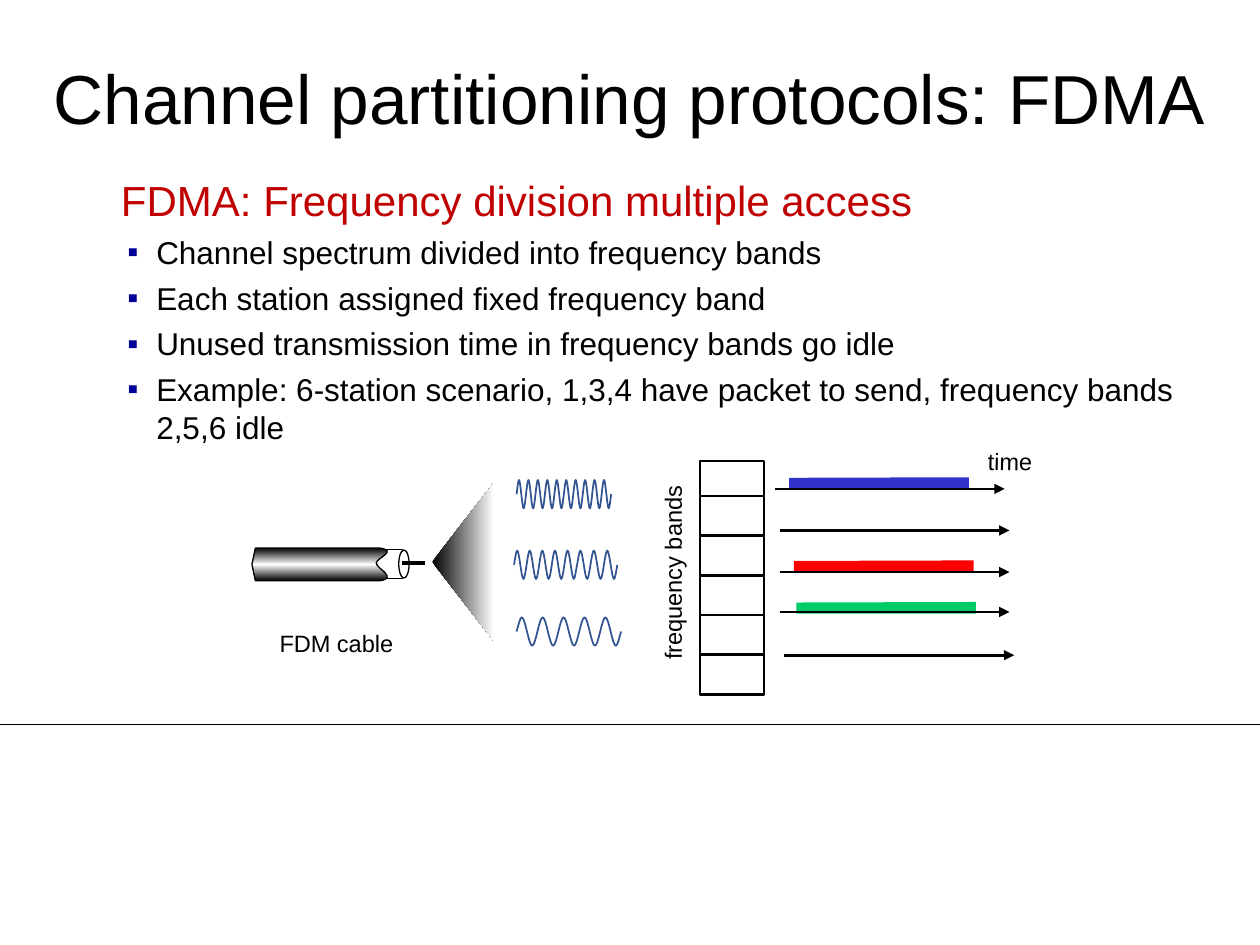
from copy import deepcopy
from dataclasses import dataclass

from lxml.etree import Element, SubElement
from pptx import Presentation
from pptx.dml.color import RGBColor
from pptx.enum.shapes import MSO_CONNECTOR, MSO_SHAPE
from pptx.enum.text import MSO_ANCHOR, MSO_AUTO_SIZE, PP_ALIGN
from pptx.oxml.ns import qn
from pptx.util import Inches, Pt

CELL = Inches(0.1)
COLUMNS, ROWS = 100, 75


@dataclass(frozen=True)
class Theme:
    font: str = "Arial"
    title_size: float = 39.6
    heading_size: float = 24
    body_size: float = 18
    label_size: float = 13.5
    black: str = "000000"
    white: str = "FFFFFF"
    heading: str = "C00000"
    bullet: str = "000099"
    wave: str = "325491"
    blue: str = "3333CC"
    red: str = "FF0000"
    green: str = "00CC66"


THEME = Theme()


@dataclass(frozen=True)
class Box:
    left: float
    top: float
    width: float
    height: float

    def point(self, across, down):
        return (round((self.left + across * self.width) * CELL),
                round((self.top + down * self.height) * CELL))

    def inner(self, left, top, width, height):
        return Box(self.left + left * self.width, self.top + top * self.height,
                   width * self.width, height * self.height)

    def frame(self):
        return (*self.point(0, 0), round(self.width * CELL), round(self.height * CELL))


def write(paragraph, text, size=THEME.body_size, color=THEME.black, align=None,
          line_spacing=None, space_before=None):
    if align is not None:
        paragraph.alignment = align
    if line_spacing is not None:
        paragraph.line_spacing = line_spacing
    if space_before is not None:
        paragraph.space_before = Pt(space_before)
    run = paragraph.add_run()
    run.text = text
    run.font.name = THEME.font
    run.font.size = Pt(size)
    run.font.color.rgb = RGBColor.from_string(color)


def set_bullet(paragraph, indent, character=None):
    properties = paragraph._p.get_or_add_pPr()
    properties.set("marL", str(Inches(0.28)))
    properties.set("indent", str(-Inches(indent)))
    if character is None:
        SubElement(properties, qn("a:buNone"))
        return
    bullet_color = SubElement(properties, qn("a:buClr"))
    SubElement(bullet_color, qn("a:srgbClr"), val=THEME.bullet)
    SubElement(properties, qn("a:buChar"), char=character)


def paint(shape, fill=None, line=None, weight=0.75):
    shape.shadow.inherit = False
    if fill is None:
        shape.fill.background()
    else:
        shape.fill.solid()
        shape.fill.fore_color.rgb = RGBColor.from_string(fill)
    if line is None:
        shape.line.fill.background()
    else:
        shape.line.color.rgb = RGBColor.from_string(line)
        shape.line.width = Pt(weight)
    return shape


def shade(shape, angle, mirrored=False):
    shape.fill.gradient()
    shape.fill.gradient_angle = angle
    dark, light = shape.fill.gradient_stops
    dark.color.rgb = RGBColor.from_string(THEME.black)
    light.color.rgb = RGBColor.from_string(THEME.white)
    dark.position, light.position = 0, 1
    if mirrored:
        light.position = 0.5
        stops = shape._element.spPr.find(qn("a:gradFill")).find(qn("a:gsLst"))
        last = deepcopy(stops[0])
        last.set("pos", "100000")
        stops.append(last)


def add_outline(slide, box, shares, close=False, curved=slice(0, 0)):
    points = [box.point(*share) for share in shares]
    builder = slide.shapes.build_freeform(*points[0])
    builder.add_line_segments(points[1:], close=close)
    shape = builder.convert_to_shape()
    lines = list(shape._element.iter(qn("a:lnTo")))[curved]
    for first in range(0, len(lines), 3):
        bend = Element(qn("a:cubicBezTo"))
        lines[first].addprevious(bend)
        for line in lines[first:first + 3]:
            bend.append(line[0])
            line.getparent().remove(line)
    return shape


def add_line(slide, box, start, end, weight=1.5, arrow=False):
    connector = slide.shapes.add_connector(
        MSO_CONNECTOR.STRAIGHT, *box.point(*start), *box.point(*end))
    connector.line.color.rgb = RGBColor.from_string(THEME.black)
    connector.line.width = Pt(weight)
    if arrow:
        SubElement(connector.line._get_or_add_ln(), qn("a:tailEnd"), type="triangle")
    SubElement(connector._element.spPr, qn("a:effectLst"))


def add_label(slide, box, text, rotation=0):
    label = slide.shapes.add_textbox(*box.frame())
    label.rotation = rotation
    label.text_frame.word_wrap = False
    label.text_frame.auto_size = MSO_AUTO_SIZE.SHAPE_TO_FIT_TEXT
    write(label.text_frame.paragraphs[0], text, size=THEME.label_size)


def place(placeholder, box, anchor):
    placeholder.left, placeholder.top, placeholder.width, placeholder.height = box.frame()
    frame = placeholder.text_frame
    frame.word_wrap = True
    frame.auto_size = MSO_AUTO_SIZE.NONE
    frame.vertical_anchor = anchor
    return frame


def add_title(slide, box, text):
    frame = place(slide.shapes.title, box, MSO_ANCHOR.MIDDLE)
    write(frame.paragraphs[0], text, size=THEME.title_size,
          align=PP_ALIGN.CENTER, line_spacing=0.9)


def add_body(slide, box, heading, items):
    frame = place(slide.placeholders[1], box, MSO_ANCHOR.TOP)
    frame.margin_left = frame.margin_right = Inches(0.07)
    frame.margin_top = frame.margin_bottom = Inches(0.04)
    first = frame.paragraphs[0]
    set_bullet(first, 0.28)
    write(first, heading, size=THEME.heading_size, color=THEME.heading,
          line_spacing=0.85, space_before=0)
    for item in items:
        paragraph = frame.add_paragraph()
        set_bullet(paragraph, 0.23, "▪")
        write(paragraph, item, space_before=4.5)


def add_cable(slide, box):
    sheath = slide.shapes.add_shape(MSO_SHAPE.RECTANGLE, *box.inner(0.71, 0.04, 0.16, 0.88).frame())
    paint(sheath, THEME.white, THEME.black)
    jacket = add_outline(slide, box, [
        (0.02, 0), (0, 0.5), (0.02, 1), (0.74, 1),
        (0.85, 0.92), (0.72, 0.62), (0.72, 0.46),
        (0.72, 0.31), (0.85, 0.08), (0.74, 0)], close=True, curved=slice(3, 9))
    paint(jacket, THEME.white, THEME.black)
    shade(jacket, 90, mirrored=True)
    end = slide.shapes.add_shape(MSO_SHAPE.OVAL, *box.inner(0.85, 0.06, 0.06, 0.85).frame())
    paint(end, THEME.white, THEME.black)
    add_line(slide, box, (0.87, 0.46), (1, 0.46), weight=2.25)


def add_fan(slide, box):
    fan = paint(add_outline(slide, box, [(1, 0), (0, 0.5), (1, 1)], close=True), THEME.white)
    shade(fan, 0)


def add_wave(slide, box, cycles):
    turns = [((i + 0.5) / (2 * cycles), i % 2) for i in range(2 * cycles)]
    anchors = [(0, 0.5), *turns, (1, 0.5)]
    shares = anchors[:1]
    for (x, y), (next_x, next_y) in zip(anchors, anchors[1:]):
        third = (next_x - x) / 3
        leave = 0.3 if x == 0 else y
        arrive = 0.7 if next_x == 1 else next_y
        shares += [(x + third, leave), (next_x - third, arrive), (next_x, next_y)]
    paint(add_outline(slide, box, shares, curved=slice(None)), line=THEME.wave, weight=1)


def add_bands(slide, box):
    paint(slide.shapes.add_shape(MSO_SHAPE.RECTANGLE, *box.frame()),
          THEME.white, THEME.black, 1.5)
    for divider in range(5):
        height = 0.15 + 0.17 * divider
        add_line(slide, box, (0, height), (1, height))


def add_timelines(slide, box):
    timelines = [(0, 0, THEME.blue), (0.02, 0, None), (0.02, 0, THEME.red),
                 (0.02, -0.01, THEME.green), (0.04, 0, None)]
    for row, (start, shift, color) in enumerate(timelines):
        base = row / (len(timelines) - 1)
        if color:
            bar = box.inner(start + 0.06 - shift, base - 0.07, 0.75, 0.07)
            paint(add_outline(slide, bar, [(0, 1), (0, 0.05), (1, 0), (1, 1)]), color)
        add_line(slide, box, (start, base + shift), (start + 0.96, base + shift), arrow=True)


def main():
    presentation = Presentation()
    presentation.slide_width, presentation.slide_height = COLUMNS * CELL, ROWS * CELL
    slide = presentation.slides.add_slide(presentation.slide_layouts[1])
    add_line(slide, Box(0, 0, COLUMNS, 57.5), (0, 1), (1, 1), weight=0.5)
    add_title(slide, Box(0.9, 4.45, 98.1, 7.3), "Channel partitioning protocols: FDMA")
    add_body(slide, Box(8.9, 14.05, 85.8, 19.7), "FDMA: Frequency division multiple access", [
        "Channel spectrum divided into frequency bands",
        "Each station assigned fixed frequency band",
        "Unused transmission time in frequency bands go idle",
        "Example: 6-station scenario, 1,3,4 have packet to send, frequency bands 2,5,6 idle"])
    add_bands(slide, Box(55.55, 36.6, 5.1, 18.5))
    add_timelines(slide, Box(61.5, 38.8, 19, 13.2))
    add_label(slide, Box(45.4, 43.7, 16, 3.3), "frequency bands", rotation=270)
    add_label(slide, Box(77.4, 35, 5.8, 3.3), "time", rotation=1.1)
    add_fan(slide, Box(34.3, 38.3, 4.9, 12.6))
    add_cable(slide, Box(20, 43.5, 13.7, 2.6))
    add_label(slide, Box(21.2, 49.4, 11.2, 3.3), "FDM cable")
    for box, cycles in [(Box(41, 49, 8.3, 2.25), 5),
                        (Box(41, 38.1, 3.75, 2.25), 5), (Box(44.75, 38.1, 3.75, 2.25), 5),
                        (Box(40.8, 43.7, 5, 2.25), 5), (Box(45.8, 43.7, 3.2, 2.25), 3)]:
        add_wave(slide, box, cycles)
    presentation.save("out.pptx")


if __name__ == "__main__":
    main()
